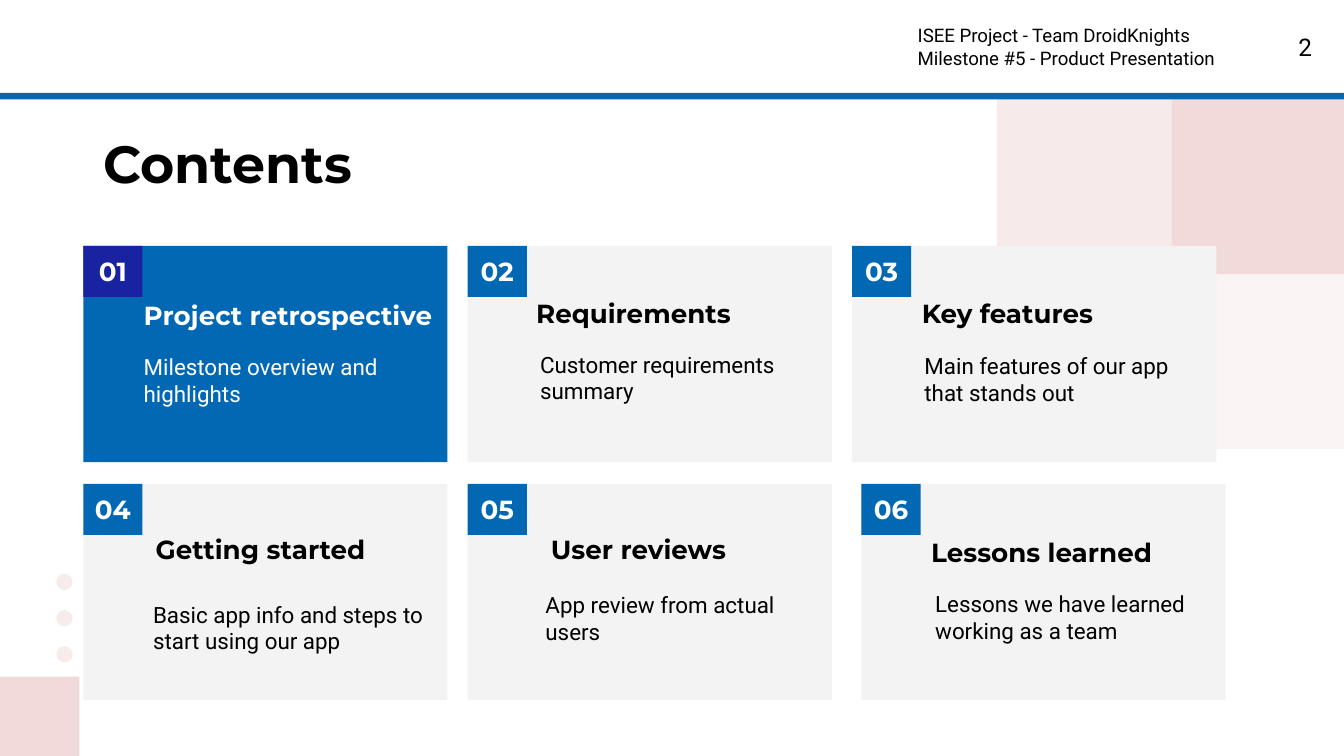
from lxml import etree
from pptx import Presentation
from pptx.dml.color import RGBColor
from pptx.enum.shapes import MSO_SHAPE
from pptx.enum.text import MSO_ANCHOR, PP_ALIGN
from pptx.oxml.ns import qn
from pptx.util import Inches, Pt

RECTANGLE, OVAL = MSO_SHAPE.RECTANGLE, MSO_SHAPE.OVAL
LEFT, CENTER, RIGHT = PP_ALIGN.LEFT, PP_ALIGN.CENTER, PP_ALIGN.RIGHT
MIDDLE = MSO_ANCHOR.MIDDLE

BLUE, NAVY, GREY, PINK = "0268B4", "1922A1", "F3F3F3", "F2DADA"
WHITE, BLACK, PALE_PINK = "FFFFFF", "000000", "F7EBEB"
HEADING_FONT, BODY_FONT = "Montserrat", "Roboto"

WIDTH, HEIGHT = 10, 10 * 9 / 16
BAR_TOP, BAR_BOTTOM = 0.69, 0.74
SQUARE = 1.3
SQUARE_LEFT = 7.42
CORNER = 0.59
CARD_LEFT, CARD_TOP = 0.62, 1.83
CARD_WIDTH, CARD_HEIGHT = 2.71, 1.61
COLUMN_STEP, ROW_STEP = 2.86, 1.77

deck = Presentation()
deck.slide_width, deck.slide_height = Inches(WIDTH), Inches(HEIGHT)
page = deck.slides.add_slide(deck.slide_layouts[6])


def add_block(left, top, width, height, color, kind=RECTANGLE, opacity=100):
    """Add a borderless filled shape; opacity is a percentage."""
    block = page.shapes.add_shape(
        kind, Inches(left), Inches(top), Inches(width), Inches(height))
    block.shadow.inherit = False
    block.line.fill.background()
    block.fill.solid()
    block.fill.fore_color.rgb = RGBColor.from_string(color)
    if opacity < 100:
        swatch = block.fill._xPr.find(".//" + qn("a:srgbClr"))
        etree.SubElement(swatch, qn("a:alpha"), val=str(opacity * 1000))
    return block


def write(box, lines, size, font, color, bold=False, align=LEFT, side_inset=0.1):
    """Fill a shape or text box with one paragraph per line."""
    frame = box.text_frame
    frame.word_wrap = True
    frame.margin_left = frame.margin_right = Inches(side_inset)
    frame.margin_top = frame.margin_bottom = Inches(0.1)
    frame.text = lines
    for para in frame.paragraphs:
        para.alignment = align
        para.font.size = Pt(size)
        para.font.name = font
        para.font.bold = bold
        para.font.color.rgb = RGBColor.from_string(color)


# Background decoration
for row in range(3):
    add_block(0.42, 4.27 + row * 0.27, 0.12, 0.12, PALE_PINK, OVAL)
add_block(0, HEIGHT - CORNER, CORNER, CORNER, PINK)
for column, row, opacity in [(1, 0, 100), (1, 1, 28), (0, 0, 55)]:
    left = SQUARE_LEFT + column * SQUARE
    add_block(left, BAR_BOTTOM + row * SQUARE, min(SQUARE, WIDTH - left), SQUARE,
              PINK, opacity=opacity)
add_block(0, BAR_TOP, WIDTH, BAR_BOTTOM - BAR_TOP, BLUE)

# Title and header: place, text, size, font, bold, alignment
for place, lines, size, font, bold, align in [
    ((0.67, 0.88, 8.44, 0.63), "Contents", 28, HEADING_FONT, True, LEFT),
    ((9.26, 0.14, 0.6, 0.43), "2", 13, BODY_FONT, False, RIGHT),
    ((6.73, 0.08, 2.71, 0.52),
     "ISEE Project - Team DroidKnights\nMilestone #5 - Product Presentation",
     10, BODY_FONT, False, LEFT),
]:
    box = page.shapes.add_textbox(*map(Inches, place))
    write(box, lines, size, font, BLACK, bold, align)

# Cards: heading and its offset in the card, summary and its offset, card shift
cards = [
    ("Project retrospective", (0.35, 0.3),
     "Milestone overview and highlights", (0.35, 0.7), 0),
    ("Requirements", (0.41, 0.28),
     "Customer requirements summary", (0.44, 0.68), 0),
    ("Key features", (0.42, 0.28),
     "Main features of our app that stands out", (0.44, 0.69), 0),
    ("Getting started", (0.44, 0.27),
     "Basic app info and steps to start using our app", (0.42, 0.77), 0),
    ("User reviews", (0.52, 0.27),
     "App review from actual users", (0.48, 0.7), 0),
    ("Lessons learned", (0.42, 0.29),
     "Lessons we have learned working as a team", (0.45, 0.69), 0.07),
]
for index, (heading, heading_offset, summary, summary_offset, shift) in enumerate(cards):
    row, column = divmod(index, 3)
    left = CARD_LEFT + column * COLUMN_STEP + shift
    top = CARD_TOP + row * ROW_STEP
    active = index == 0
    ink = WHITE if active else BLACK

    add_block(left, top, CARD_WIDTH, CARD_HEIGHT, BLUE if active else GREY)
    badge = add_block(left, top, 0.44, 0.38, NAVY if active else BLUE)
    badge.text_frame.vertical_anchor = MIDDLE
    write(badge, f"{index + 1:02}", 14, HEADING_FONT, WHITE, True, CENTER, side_inset=0)

    for text, (across, down), width, height, size, font, bold in [
        (heading, heading_offset, 2.35, 0.42, 14, HEADING_FONT, True),
        (summary, summary_offset, 2.25, 0.8, 12, BODY_FONT, False),
    ]:
        box = page.shapes.add_textbox(
            Inches(left + across), Inches(top + down), Inches(width), Inches(height))
        write(box, text, size, font, ink, bold)

deck.save("out.pptx")
